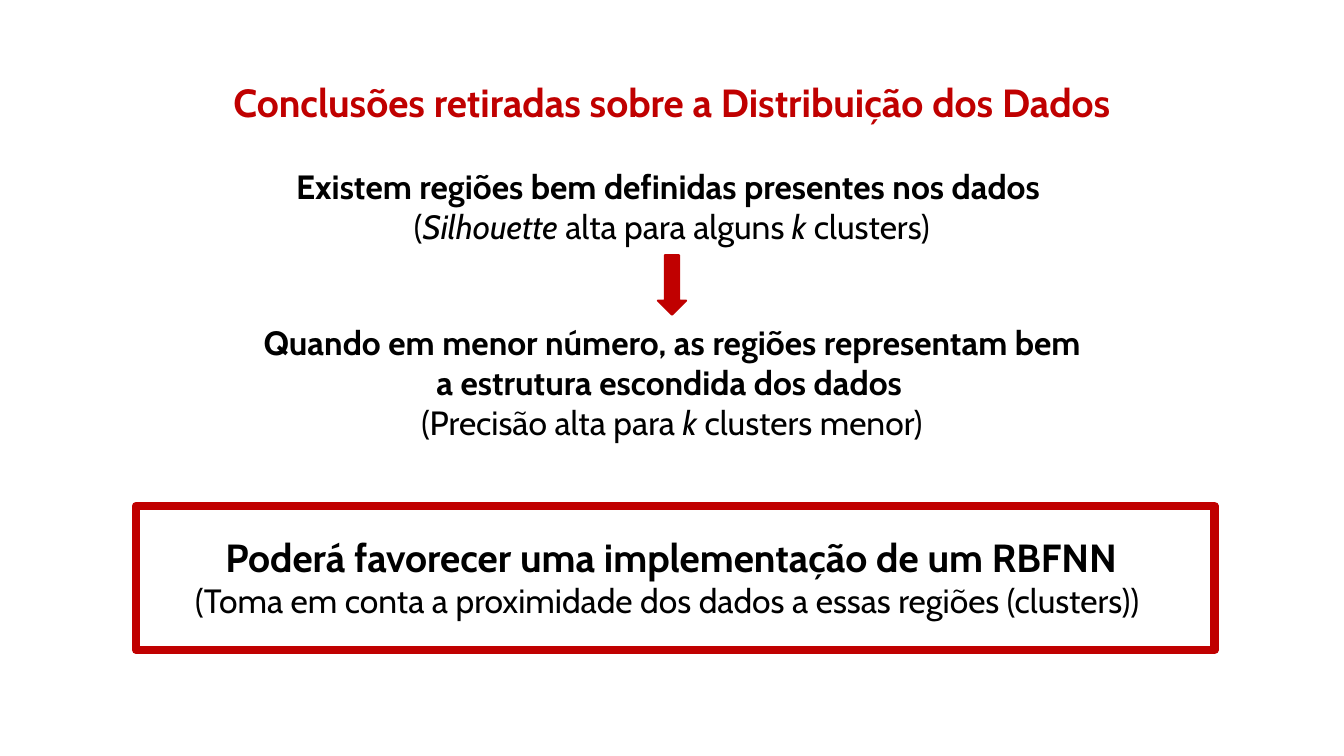
"""Build the slide with the conclusions about the data distribution."""
from pptx import Presentation
from pptx.dml.color import RGBColor
from pptx.enum.shapes import MSO_SHAPE as Preset
from pptx.enum.text import PP_ALIGN as Align
from pptx.util import Cm, Pt

RED, BLACK = "C00000", "000000"


def rgb(value):
    return RGBColor.from_string(value)


def add_statement(slide, place, paragraphs):
    frame = slide.shapes.add_textbox(*map(Cm, place)).text_frame
    frame.word_wrap = True
    for index, runs in enumerate(paragraphs):
        paragraph = frame.add_paragraph() if index else frame.paragraphs[0]
        paragraph.alignment = Align.CENTER
        for wording, style in runs:
            run = paragraph.add_run()
            run.text = wording
            run.font.color.rgb = rgb(style["color"])
            for name in ("name", "size", "bold", "italic"):
                setattr(run.font, name, style[name])


plain = dict(name="Cabin", size=Pt(24), bold=False, italic=False, color=BLACK)
italic = plain | dict(italic=True)
bold = plain | dict(bold=True)
large = bold | dict(size=Pt(28))
heading = large | dict(color=RED)

deck = Presentation()
deck.slide_width, deck.slide_height = Cm(33.87), Cm(19.05)
slide = deck.slides.add_slide(deck.slide_layouts[6])

statements = [
    ((3.25, 1.85, 27.36, 1.45), [
        [("Conclusões retiradas sobre a Distribuição dos Dados", heading)],
    ]),
    ((3.25, 4.06, 27.36, 2.31), [
        [("Existem regiões bem definidas presentes nos dados ", bold)],
        [("(", plain), ("Silhouette", italic), (" alta para alguns ", plain),
         ("k", italic), (" clusters)", plain)],
    ]),
    ((6.1, 7.98, 21.67, 3.33), [
        [("Quando em menor número, as regiões representam bem "
          "a estrutura escondida dos dados", bold),
         (" ", plain | dict(size=Pt(18)))],
        [("(Precisão alta para ", plain), ("k", italic),
         (" clusters menor)", plain)],
    ]),
    ((2.51, 13.31, 28.8, 2.49), [
        [("Poderá favorecer uma implementação de um RBFNN", large)],
        [("(Toma em conta a proximidade dos dados a essas regiões (clusters)) ",
          plain)],
    ]),
]
for place, paragraphs in statements:
    add_statement(slide, place, paragraphs)

arrow = slide.shapes.add_shape(
    Preset.DOWN_ARROW, Cm(16.58), Cm(6.43), Cm(0.71), Cm(1.5))
arrow.fill.solid()
arrow.fill.fore_color.rgb = rgb(RED)

conclusion_frame = slide.shapes.add_shape(
    Preset.RECTANGLE, Cm(3.43), Cm(12.75), Cm(27.18), Cm(3.63))
conclusion_frame.fill.background()

for outlined, width in ((arrow, 1.5), (conclusion_frame, 6)):
    outlined.shadow.inherit = False
    outlined.line.color.rgb = rgb(RED)
    outlined.line.width = Pt(width)

deck.save("out.pptx")
